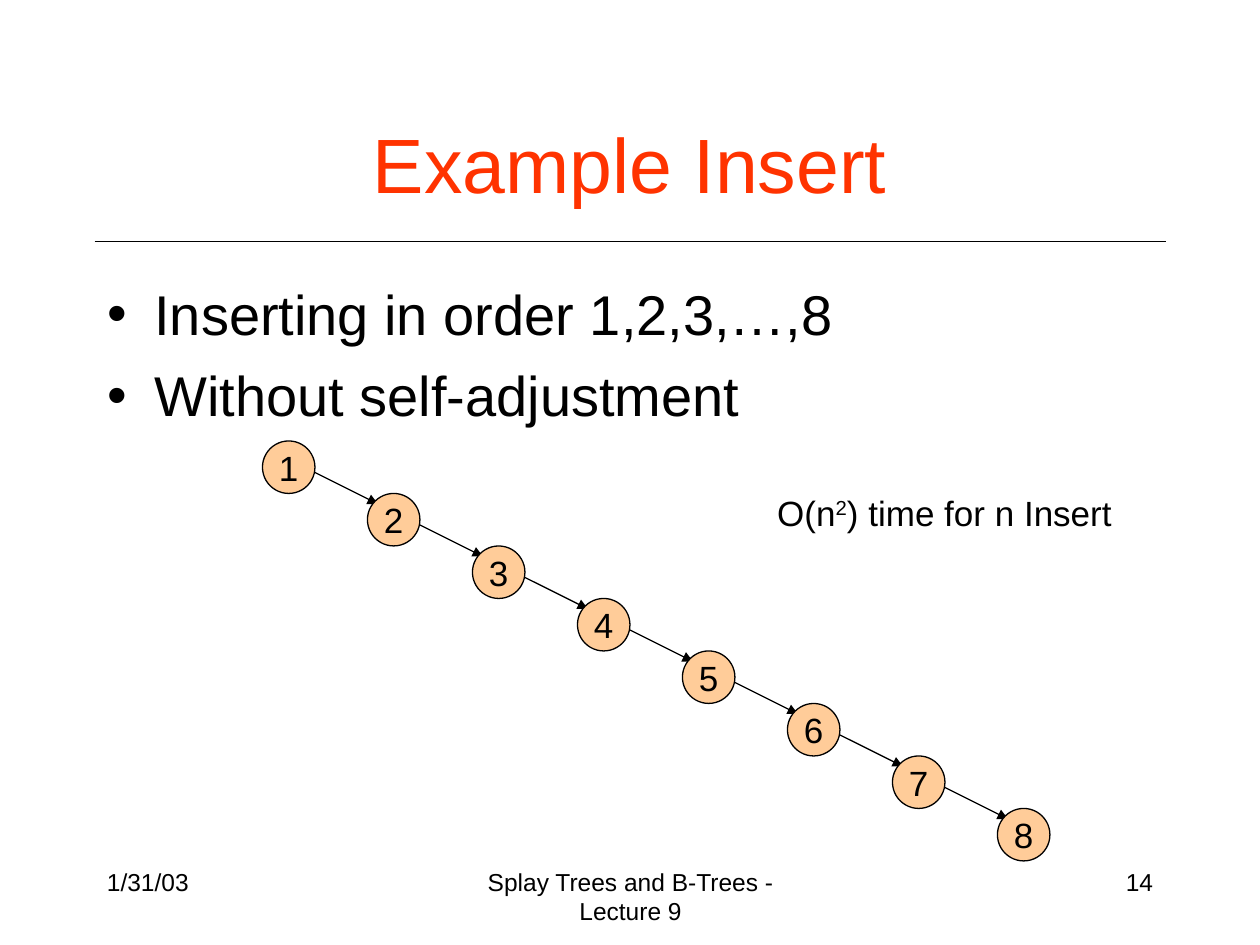
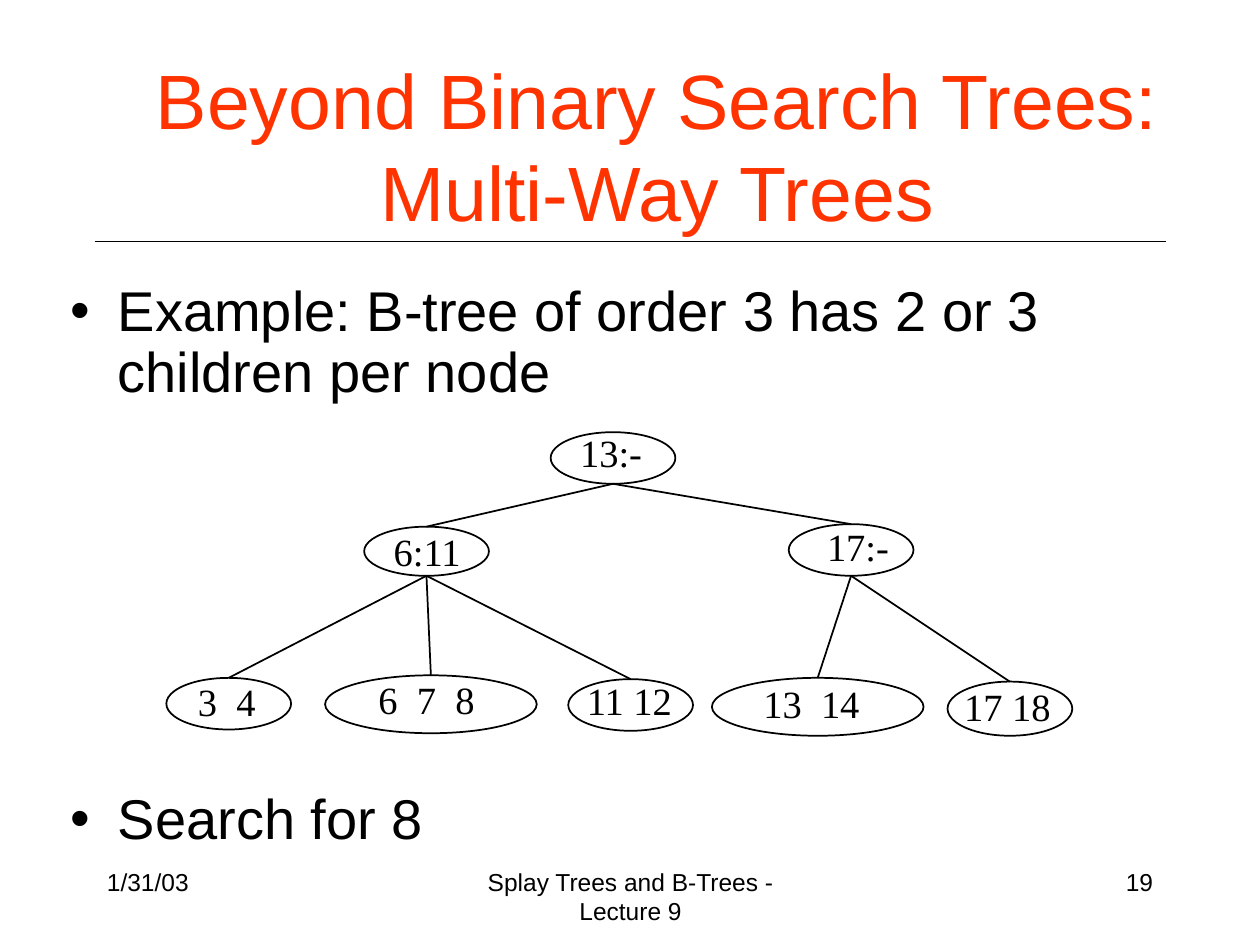
"""Build two lecture slides on splay trees and B-trees."""
from lxml import etree
from pptx import Presentation
from pptx import util as u
from pptx.dml.color import RGBColor
from pptx.enum import shapes, text
from pptx.oxml.ns import qn

COLORS = {"title": "FF3300", "ink": "000000", "node": "FFCC99"}
SANS, SERIF = "Arial", "Times New Roman"
LEFT, CENTER, RIGHT = text.PP_ALIGN.LEFT, text.PP_ALIGN.CENTER, text.PP_ALIGN.RIGHT


def color(name):
    return RGBColor.from_string(COLORS[name])


def inches(*lengths):
    return [u.Inches(length) for length in lengths]


class Deck:
    """Holds the presentation, its style and the current slide."""

    def __init__(self):
        self.presentation = Presentation()
        self.presentation.slide_width, self.presentation.slide_height = inches(10, 7.5)
        self.slide = None

    def new_slide(self, title, title_box, number):
        layout = self.presentation.slide_layouts[1]
        self.slide = self.presentation.slides.add_slide(layout)
        self.line((0.75, 23 / 12), (9.25, 23 / 12))
        self.place(self.slide.shapes.title, title_box)
        frame = self.slide.shapes.title.text_frame
        frame.text = title
        frame.vertical_anchor = text.MSO_ANCHOR.MIDDLE
        self.format(frame.paragraphs[0], 44, CENTER, ink="title")
        self.footer(number)

    def place(self, shape, box):
        shape.left, shape.top, shape.width, shape.height = inches(*box)
        shape.text_frame.auto_size = text.MSO_AUTO_SIZE.NONE

    def format(self, paragraph, size, align=LEFT, font=SANS, ink="ink"):
        paragraph.alignment = align
        for run in paragraph.runs:
            run.font.size = u.Pt(size)
            run.font.name = font
            run.font.color.rgb = color(ink)

    def bullets(self, lines, box, spacing=1.0, gap=8):
        body = self.slide.placeholders[1]
        self.place(body, box)
        frame = body.text_frame
        frame.text = "\n".join(lines)
        for paragraph in frame.paragraphs:
            self.format(paragraph, 32)
            paragraph.space_before = u.Pt(8)
            paragraph.line_spacing = spacing
        frame.paragraphs[-1].space_before = u.Pt(gap)

    def text_box(self, runs, box, size, align=LEFT, font=SANS, wrap=True):
        shape = self.slide.shapes.add_textbox(*inches(*box))
        frame = shape.text_frame
        frame.word_wrap = wrap
        paragraph = frame.paragraphs[0]
        for words, attributes in runs:
            run = paragraph.add_run()
            run.text = words
            for name, value in attributes.items():
                run._r.get_or_add_rPr().set(name, value)
        self.format(paragraph, size, align, font)
        return frame

    def label(self, words, left, top, width, space="0"):
        runs = []
        for word in words.split():
            runs += [(" ", {"spc": space}), (word, {})]
        frame = self.text_box(runs[1:], (left, top, width, 0.31), 22, CENTER, SERIF, wrap=False)
        frame.margin_left = frame.margin_right = frame.margin_top = frame.margin_bottom = 0
        frame.paragraphs[0].line_spacing = 0.85

    def footer(self, number):
        for words, left, width, align in (
            ("Splay Trees and B-Trees - Lecture\u00a09", 3.42, 3.17, CENTER),
            (number, 7.17, 2.08, RIGHT),
            ("1/31/03", 0.75, 2.08, LEFT),
        ):
            self.text_box([(words, {})], (left, 6.83, width, 0.5), 14, align)

    def oval(self, box, fill=None, words="", width=0.99):
        shape = self.slide.shapes.add_shape(shapes.MSO_SHAPE.OVAL, *inches(*box))
        shape.shadow.inherit = False
        shape.line.color.rgb = color("ink")
        shape.line.width = u.Pt(width)
        if fill:
            shape.fill.solid()
            shape.fill.fore_color.rgb = color(fill)
        else:
            shape.fill.background()
        if words:
            frame = shape.text_frame
            frame.text = words
            frame.word_wrap = False
            frame.vertical_anchor = text.MSO_ANCHOR.MIDDLE
            self.format(frame.paragraphs[0], 20, CENTER)

    def line(self, start, end, width=0.74, arrow=False):
        connector = self.slide.shapes.add_connector(
            shapes.MSO_CONNECTOR.STRAIGHT, *inches(*start, *end))
        connector.line.color.rgb = color("ink")
        connector.line.width = u.Pt(width)
        properties = connector._element.spPr
        if arrow:
            etree.SubElement(properties.find(qn("a:ln")), qn("a:tailEnd"), type="triangle")
        etree.SubElement(properties, qn("a:effectLst"))


def build_insert_slide(deck):
    """Draw the chain that sorted insertion produces."""
    deck.new_slide("Example Insert", (0.75, 0.67, 8.5, 1.25), "14")
    deck.bullets(["Inserting in order 1,2,3,…,8", "Without self-adjustment"],
                 (0.75, 2.17, 8.5, 4.5))
    count, diameter = 8, 5 / 12
    for index in range(count):
        left, top = 25 / 12 + 2 * diameter * index, 3.5 + diameter * index
        deck.oval((left, top, diameter, diameter), "node", str(index + 1), 0.74)
        if index < count - 1:
            start = left + diameter, top + 0.25
            deck.line(start, (start[0] + 0.5, start[1] + 0.25), arrow=True)
    deck.text_box([("O(n", {}), ("2", {"baseline": "30000"}), (") time for n Insert", {})],
                  (6.07, 3.85, 2.86, 0.44), 20, wrap=False)


def build_tree_slide(deck):
    """Draw a B-tree of order 3."""
    deck.new_slide("Beyond Binary Search Trees: Multi-Way Trees",
                   (0.73, 0.71, 8.97, 0.88), "19")
    deck.bullets(["Example: B-tree of order 3 has 2 or 3 children per node", "Search for 8"],
                 (0.46, 2.2, 9.28, 4.8), spacing=0.9, gap=221)
    ovals = {
        "root": (4.37, 3.43, 0.99, 0.41),
        "left": (2.89, 4.18, 0.99, 0.39),
        "right": (6.26, 4.16, 0.99, 0.41),
        "3-4": (1.32, 5.38, 0.99, 0.41),
        "6-8": (2.58, 5.36, 1.68, 0.46),
        "11-12": (4.51, 5.39, 0.99, 0.41),
        "13-14": (5.65, 5.38, 1.68, 0.46),
        "17-18": (7.52, 5.41, 0.99, 0.43),
    }
    children = {
        "root": ("left", "right"),
        "left": ("3-4", "6-8", "11-12"),
        "right": ("13-14", "17-18"),
    }
    for box in ovals.values():
        deck.oval(box)
    for parent, names in children.items():
        left, top, width, height = ovals[parent]
        for name in names:
            child_left, child_top, child_width, _ = ovals[name]
            deck.line((left + width / 2, top + height),
                      (child_left + child_width / 2, child_top), 0.99)
    for words, left, top, width in (
        ("13:-", 4.57, 3.46, 0.56),
        ("6:11", 3.03, 4.25, 0.72),
        ("17:-", 6.51, 4.21, 0.6),
        ("11 12", 4.54, 5.43, 0.91),
        ("17 18", 7.63, 5.48, 0.73),
    ):
        deck.label(words, left, top, width)
    for words, left, top, width in (
        ("3 4", 1.56, 5.44, 0.48),
        ("6 7 8", 2.99, 5.42, 0.79),
        ("13 14", 6.04, 5.45, 0.8),
    ):
        deck.label(words, left, top, width, space="550")


deck = Deck()
build_insert_slide(deck)
build_tree_slide(deck)
deck.presentation.save("out.pptx")
